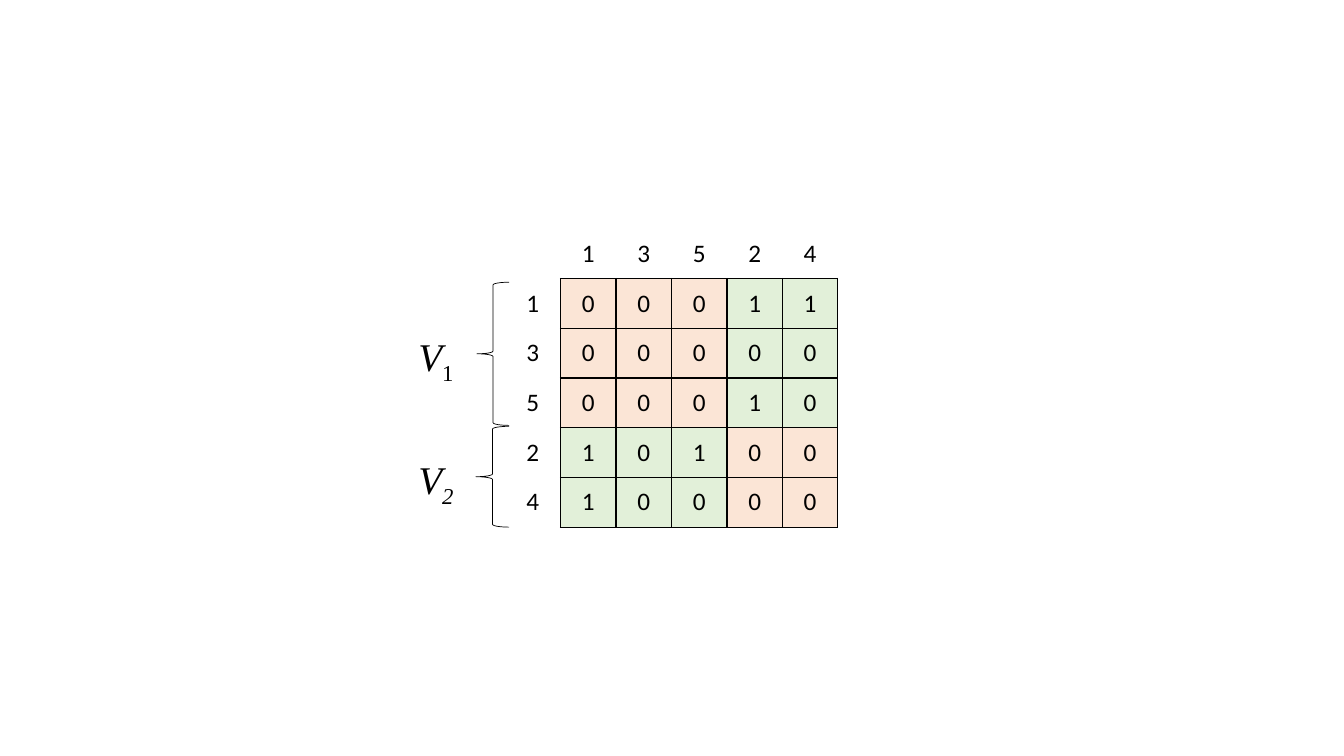
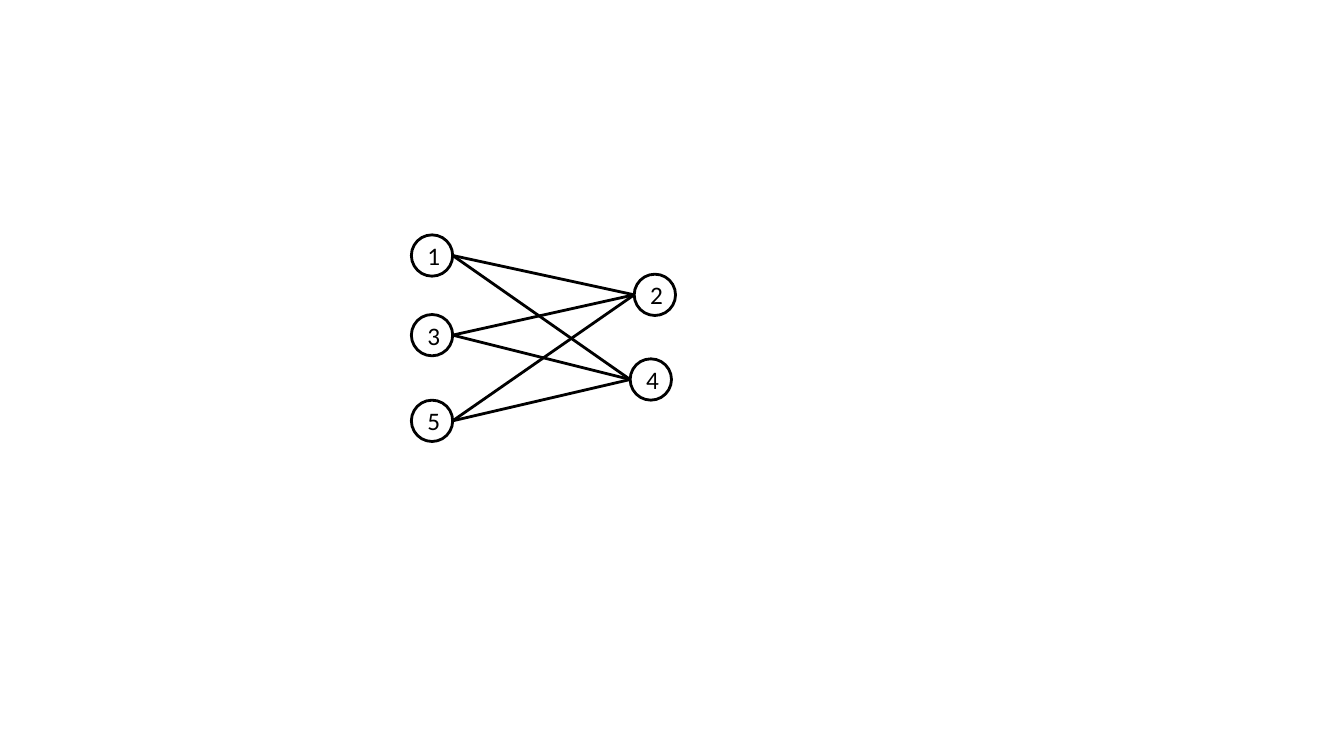
"""Build two slides: a two-part adjacency matrix and its bipartite graph."""
from dataclasses import dataclass
from itertools import product

from lxml.etree import SubElement
from pptx import Presentation
from pptx.dml.color import RGBColor
from pptx.enum.shapes import MSO_CONNECTOR as Connector, MSO_SHAPE as Shape
from pptx.enum.text import MSO_ANCHOR as Anchor, MSO_AUTO_SIZE as AutoSize, PP_ALIGN as Align
from pptx.oxml import parse_xml
from pptx.oxml.ns import nsdecls, qn
from pptx.util import Inches, Pt


@dataclass(frozen=True)
class Theme:
    ink: str = "000000"
    paper: str = "FFFFFF"
    same_part: str = "FBE5D6"
    cross_part: str = "E2F0D9"
    sans: str = "Calibri"
    serif: str = "Times New Roman"
    digit: int = 18
    symbol: int = 28
    border: float = 1
    brace: float = 0.5
    stroke: float = 2


THEME = Theme()
SLIDE_SIZE = 13.33, 7.5

PARTS = [(1, 3, 5), (2, 4)]
VERTICES = [vertex for part in PARTS for vertex in part]
MATRIX = [
    (0, 0, 0, 1, 1),
    (0, 0, 0, 0, 0),
    (0, 0, 0, 1, 0),
    (1, 0, 1, 0, 0),
    (1, 0, 0, 0, 0),
]
MATRIX_AT = 5.01, 2.27
CELL_SIZE = 0.55, 2.96 / 6
BRACES = [
    ("1", False, (4.73, 2.8, 0.32, 1.42)),
    ("2", True, (4.72, 4.23, 0.33, 1)),
]
LABEL_LEFT, LABEL_SIZE, LABEL_DROP = 4.05, (0.68, 0.57), 0.02

NODE_SIZE = 0.41
NODES = {1: (4.08, 2.33), 3: (4.08, 3.12), 5: (4.08, 3.97), 2: (6.29, 2.72), 4: (6.25, 3.56)}


def inches(*lengths):
    return [Inches(length) for length in lengths]


def colour(value):
    return RGBColor.from_string(value)


def style(paragraph, face, size):
    font = paragraph.font
    font.name, font.size = face, Pt(size)
    font.color.rgb = colour(THEME.ink)


def write_digit(frame, digit):
    paragraph = frame.paragraphs[0]
    paragraph.text = str(digit)
    paragraph.alignment = Align.CENTER
    style(paragraph, THEME.sans, THEME.digit)


def draw_line(line, width):
    line.color.rgb, line.width = colour(THEME.ink), Pt(width)


def add_outline(slide, kind, box, width):
    outline = slide.shapes.add_shape(kind, *inches(*box))
    outline.shadow.inherit = False
    outline.fill.background()
    draw_line(outline.line, width)
    return outline


def set_borders(cell, ruled):
    properties = cell._tc.get_or_add_tcPr()
    for position, side in enumerate("LRTB"):
        paint = f'<a:solidFill><a:srgbClr val="{THEME.ink}"/></a:solidFill>' if side in ruled else "<a:noFill/>"
        border = f'<a:ln{side} {nsdecls("a")} w="{Pt(THEME.border)}">{paint}</a:ln{side}>'
        properties.insert(position, parse_xml(border))


def fill_cell(cell, content, fill, ruled):
    cell.fill.solid()
    cell.fill.fore_color.rgb = colour(fill)
    cell.vertical_anchor = Anchor.MIDDLE
    write_digit(cell.text_frame, content)
    set_borders(cell, ruled)


def add_matrix(slide):
    count = len(VERTICES) + 1
    width, height = CELL_SIZE
    frame = slide.shapes.add_table(count, count, *inches(*MATRIX_AT, count * width, count * height))
    table = frame.table
    table.first_row = table.horz_banding = False
    for row, column in zip(table.rows, table.columns):
        row.height, column.width = inches(height, width)
    part_of = {vertex: part for part in PARTS for vertex in part}
    fill_cell(table.cell(0, 0), "", THEME.paper, "")
    for index, vertex in enumerate(VERTICES, 1):
        fill_cell(table.cell(0, index), vertex, THEME.paper, "B")
        fill_cell(table.cell(index, 0), vertex, THEME.paper, "R")
    for (row, start), (column, end) in product(enumerate(VERTICES), repeat=2):
        fill = THEME.same_part if part_of[start] == part_of[end] else THEME.cross_part
        fill_cell(table.cell(row + 1, column + 1), MATRIX[row][column], fill, "LRTB")


def add_part_label(slide, subscript, slanted, middle):
    width, height = LABEL_SIZE
    label = slide.shapes.add_textbox(*inches(LABEL_LEFT, middle - height / 2, width, height))
    frame = label.text_frame
    frame.word_wrap, frame.auto_size = True, AutoSize.SHAPE_TO_FIT_TEXT
    paragraph = frame.paragraphs[0]
    style(paragraph, THEME.serif, THEME.symbol)
    letter, index = paragraph.add_run(), paragraph.add_run()
    letter.text, index.text = "V", subscript
    letter.font.italic, index.font.italic = True, slanted
    index._r.get_or_add_rPr().set("baseline", "-25000")


def add_node(slide, vertex):
    node = add_outline(slide, Shape.OVAL, (*NODES[vertex], NODE_SIZE, NODE_SIZE), THEME.stroke)
    node.text_frame.vertical_anchor = Anchor.MIDDLE
    write_digit(node.text_frame, vertex)


def add_edge(slide, start, end):
    (start_left, start_top), (end_left, end_top) = NODES[start], NODES[end]
    radius = NODE_SIZE / 2
    ends = inches(start_left + NODE_SIZE, start_top + radius, end_left, end_top + radius)
    edge = slide.shapes.add_connector(Connector.STRAIGHT, *ends)
    draw_line(edge.line, THEME.stroke)
    SubElement(edge._element.spPr, qn("a:effectLst"))


def build_matrix_slide(slide):
    add_matrix(slide)
    for subscript, slanted, box in BRACES:
        add_outline(slide, Shape.LEFT_BRACE, box, THEME.brace)
        add_part_label(slide, subscript, slanted, box[1] + box[3] / 2 + LABEL_DROP)


def build_graph_slide(slide):
    for vertex in NODES:
        add_node(slide, vertex)
    for start, end in product(*PARTS):
        add_edge(slide, start, end)


deck = Presentation()
deck.slide_width, deck.slide_height = inches(*SLIDE_SIZE)
for build in (build_matrix_slide, build_graph_slide):
    build(deck.slides.add_slide(deck.slide_layouts[6]))
deck.save("out.pptx")
